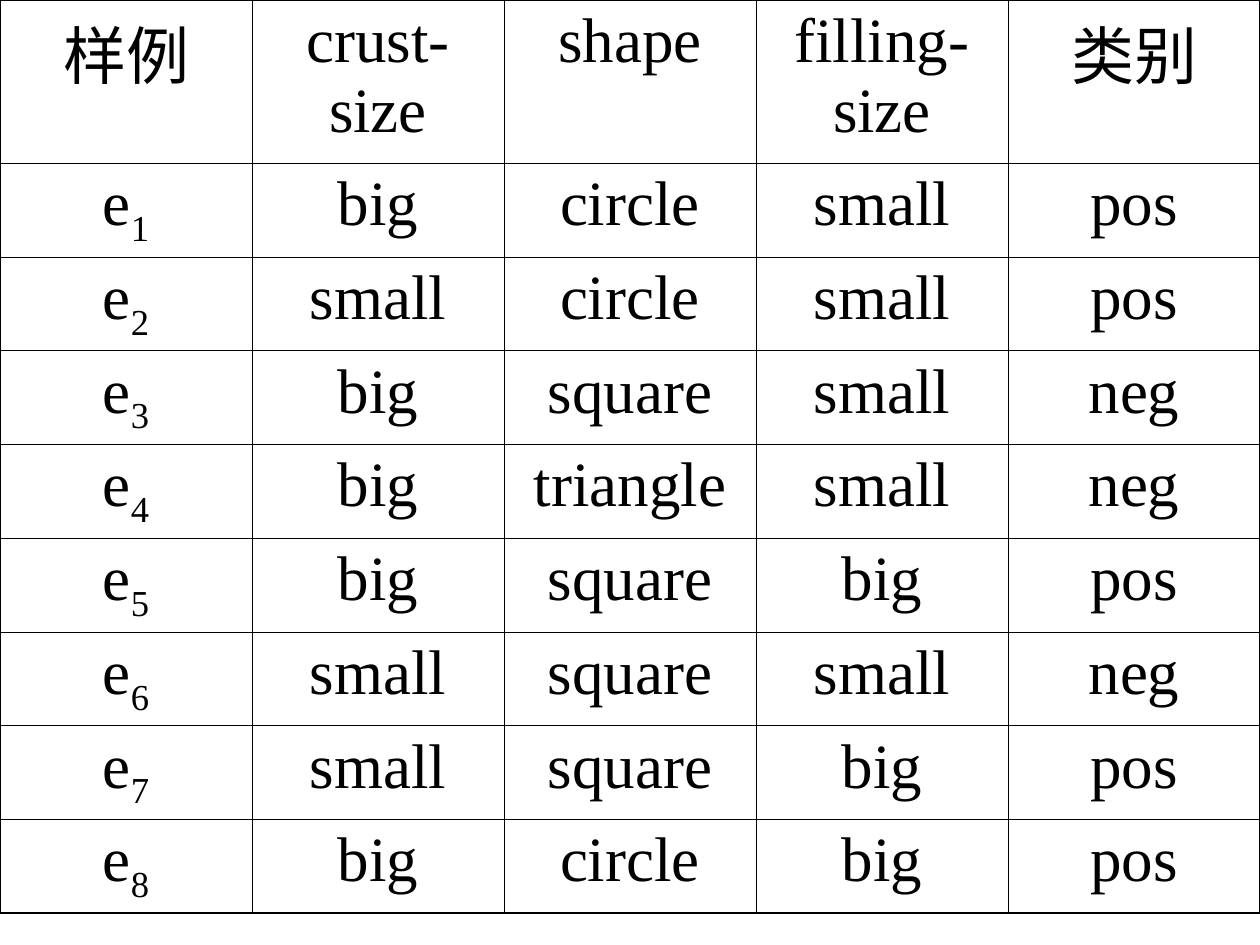
from lxml import etree
from pptx import Presentation
from pptx.dml.color import RGBColor
from pptx.enum.text import PP_ALIGN
from pptx.oxml.ns import qn
from pptx.util import Cm, Pt

BLACK = RGBColor(0, 0, 0)
CENTER = PP_ALIGN.CENTER
FONT = "Times New Roman"
INNER_LINE, OUTER_LINE = Pt(0.45), Pt(1.08)

HEADINGS = ["样例", "crust-size", "shape", "filling-size", "类别"]
EXAMPLES = [
    ["big", "circle", "small", "pos"],
    ["small", "circle", "small", "pos"],
    ["big", "square", "small", "neg"],
    ["big", "triangle", "small", "neg"],
    ["big", "square", "big", "pos"],
    ["small", "square", "small", "neg"],
    ["small", "square", "big", "pos"],
    ["big", "circle", "big", "pos"],
]
rows = [HEADINGS] + [["e"] + values for values in EXAMPLES]
last_row, last_col = len(rows) - 1, len(HEADINGS) - 1
HEADER_HEIGHT, ROW_HEIGHT, COLUMN_WIDTH = Cm(3.29), Cm(1.89), Cm(5.08)


def add_border(cell, side, width):
    line = etree.SubElement(cell._tc.get_or_add_tcPr(), qn(f"a:{side}"), w=str(width))
    fill = etree.SubElement(line, qn("a:solidFill"))
    etree.SubElement(fill, qn("a:srgbClr"), val=str(BLACK))


prs = Presentation()
prs.slide_width, prs.slide_height = Cm(25.4), Cm(19.05)
slide = prs.slides.add_slide(prs.slide_layouts[6])

# Table of training examples
examples = slide.shapes.add_table(
    len(rows), len(HEADINGS), 0, 0,
    COLUMN_WIDTH * len(HEADINGS), HEADER_HEIGHT + ROW_HEIGHT * len(EXAMPLES),
).table
examples.first_row = False
examples.horz_banding = False
for column in examples.columns:
    column.width = COLUMN_WIDTH
for r, row in enumerate(examples.rows):
    row.height = ROW_HEIGHT if r else HEADER_HEIGHT

# Cells: heavier lines around the outside, thin lines within
for r, values in enumerate(rows):
    for c, value in enumerate(values):
        cell = examples.cell(r, c)
        outer_sides = {"lnL": c == 0, "lnR": c == last_col,
                       "lnT": r == 0, "lnB": r == last_row}
        for side, is_outer in outer_sides.items():
            add_border(cell, side, OUTER_LINE if is_outer else INNER_LINE)
        cell.fill.background()

        paragraph = cell.text_frame.paragraphs[0]
        paragraph.text = value
        paragraph.alignment = CENTER
        # Example number as a subscript
        if r and c == 0:
            number = paragraph.add_run()
            number.text = str(r)
            number._r.get_or_add_rPr().set("baseline", "-25000")
        for run in paragraph.runs:
            run.font.name = FONT
            run.font.size = Pt(36)
            run.font.color.rgb = BLACK

prs.save("out.pptx")
